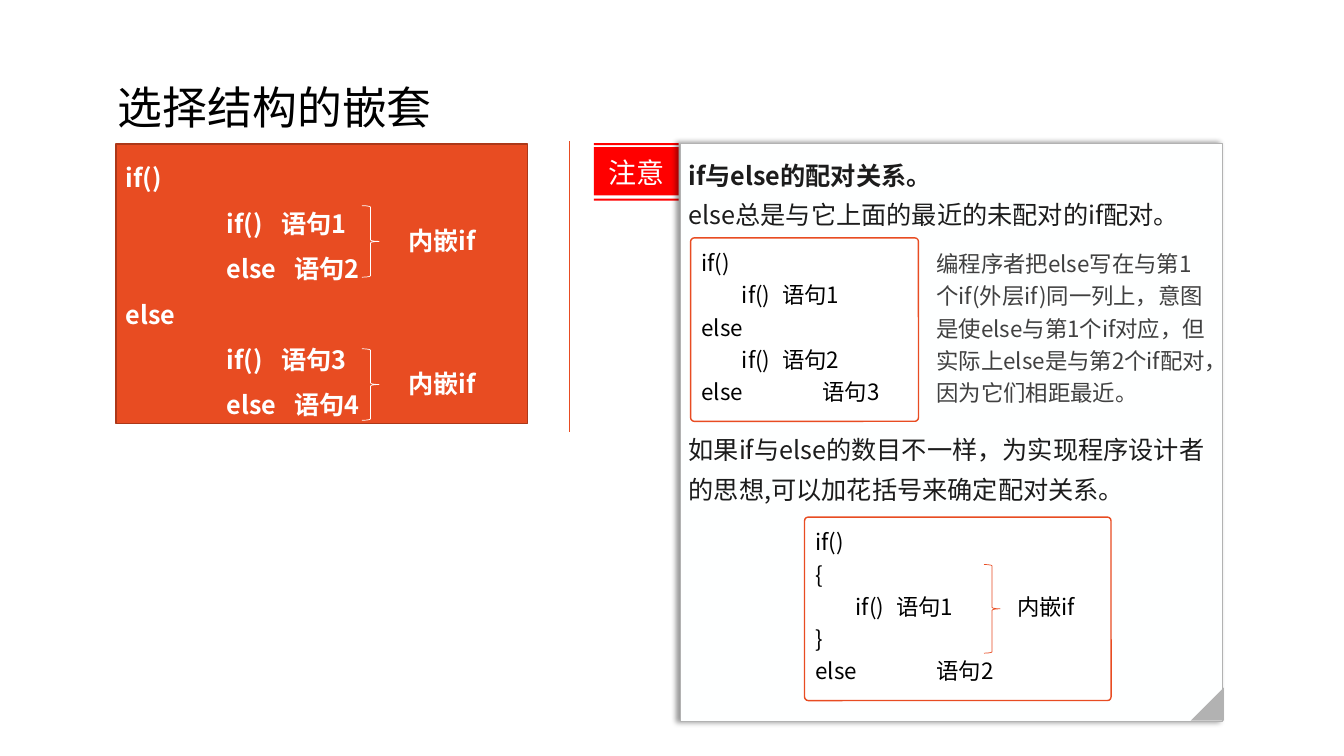
"""Build a slide about nested selection structures."""
from dataclasses import dataclass
from typing import Any

from pptx import Presentation
from pptx.dml.color import RGBColor
from pptx.enum.shapes import MSO_CONNECTOR, MSO_SHAPE
from pptx.enum.text import MSO_ANCHOR, MSO_AUTO_SIZE, PP_ALIGN
from pptx.oxml.ns import qn
from pptx.util import Inches, Pt

RECTANGLE, ROUNDED = MSO_SHAPE.RECTANGLE, MSO_SHAPE.ROUNDED_RECTANGLE
BRACE, TRIANGLE = MSO_SHAPE.RIGHT_BRACE, MSO_SHAPE.RIGHT_TRIANGLE
STRAIGHT = MSO_CONNECTOR.STRAIGHT
TOP, MIDDLE = MSO_ANCHOR.TOP, MSO_ANCHOR.MIDDLE
LEFT, CENTER = PP_ALIGN.LEFT, PP_ALIGN.CENTER
FIXED, GROW = MSO_AUTO_SIZE.NONE, MSO_AUTO_SIZE.SHAPE_TO_FIT_TEXT

FONT = "Noto Sans CJK SC"
ORANGE = RGBColor(0xE8, 0x4C, 0x22)
BROWN = RGBColor(0xAC, 0x38, 0x19)
RED = RGBColor(0xFF, 0x00, 0x00)
WHITE = RGBColor(0xFF, 0xFF, 0xFF)
PAPER = RGBColor(0xFE, 0xFF, 0xFF)
SILVER = RGBColor(0xB2, 0xB2, 0xB2)
BLACK = RGBColor(0x00, 0x00, 0x00)
INK = RGBColor(0x1C, 0x1C, 0x1C)
GRAY = RGBColor(0x40, 0x40, 0x40)


@dataclass(frozen=True)
class Box:
    """Position and size in inches."""
    left: float
    top: float
    width: float
    height: float

    def lengths(self) -> list[Inches]:
        """Return the four lengths for python-pptx."""
        return [Inches(value) for value in (self.left, self.top, self.width, self.height)]


@dataclass(frozen=True)
class Line:
    """One paragraph with its tab stops in inches."""
    text: str
    tabs: tuple[float, ...] = ()
    bold: bool = False
    space_before: float = 0


@dataclass(frozen=True)
class TextStyle:
    """Format shared by all paragraphs of a shape."""
    size: float
    color: RGBColor
    spacing: float = 1.0
    align: Any = LEFT
    anchor: Any = TOP
    fit: Any = FIXED
    inset: tuple[float, float] = (0.1, 0.05)


@dataclass(frozen=True)
class Figure:
    """A preset shape with fill and outline."""
    kind: Any
    box: Box
    fill: RGBColor | None = None
    line: RGBColor | None = None
    weight: float = 0.5


def set_values(target: Any, values: dict[str, Any]) -> None:
    """Set every attribute named in a dict of format values."""
    for name, value in values.items():
        setattr(target, name, value)


def write_lines(shape: Any, lines: list[Line], style: TextStyle) -> None:
    """Fill a shape with formatted paragraphs."""
    frame = shape.text_frame
    across, down = (Inches(value) for value in style.inset)
    set_values(frame, {"word_wrap": True, "auto_size": style.fit, "vertical_anchor": style.anchor,
                       "margin_left": across, "margin_right": across,
                       "margin_top": down, "margin_bottom": down})
    for index, line in enumerate(lines):
        paragraph = frame.add_paragraph() if index else frame.paragraphs[0]
        set_values(paragraph, {"alignment": style.align, "line_spacing": style.spacing,
                               "space_before": Pt(line.space_before), "space_after": Pt(0)})
        if line.tabs:
            properties = paragraph._p.get_or_add_pPr()
            tab_list = properties.makeelement(qn("a:tabLst"), {})
            for stop in line.tabs:
                tab = tab_list.makeelement(qn("a:tab"), {"pos": str(Inches(stop)), "algn": "l"})
                tab_list.append(tab)
            properties.append(tab_list)
        run = paragraph.add_run()
        run.text = line.text
        set_values(run.font, {"name": FONT, "size": Pt(style.size), "bold": line.bold})
        run.font.color.rgb = style.color
        run_properties = run._r.get_or_add_rPr()
        run_properties.append(run_properties.makeelement(qn("a:ea"), {"typeface": FONT}))


def paint(shape: Any, fill: RGBColor | None, line: RGBColor | None, weight: float) -> None:
    """Set fill and outline and drop the theme shadow."""
    shape.shadow.inherit = False
    for target, color in ((shape.fill, fill), (shape.line.fill, line)):
        if color is None:
            target.background()
        else:
            target.solid()
            target.fore_color.rgb = color
    if line is not None:
        shape.line.width = Pt(weight)


def draw_figure(slide: Any, figure: Figure) -> Any:
    """Add a preset shape."""
    shape = slide.shapes.add_shape(figure.kind, *figure.box.lengths())
    paint(shape, figure.fill, figure.line, figure.weight)
    if figure.kind == ROUNDED:
        shape.adjustments[0] = 0.02
    return shape


def draw_label(slide: Any, box: Box, line: Line, style: TextStyle) -> None:
    """Add a text box."""
    write_lines(slide.shapes.add_textbox(*box.lengths()), [line], style)


def draw_code(slide: Any, box: Box, texts: list[str]) -> None:
    """Add a rounded code box with even tab stops."""
    shape = draw_figure(slide, Figure(ROUNDED, box, WHITE, ORANGE, 1))
    tabs = tuple(0.4 * step for step in range(1, 6))
    write_lines(shape, [Line(text, tabs) for text in texts], TextStyle(16, BLACK, 1.2))


def draw_tag(slide: Any) -> None:
    """Add the red tag made of a band between two stripes."""
    left, right = Inches(5.89), Inches(6.73)
    bands = [(1.97, 1.99), (1.46, 1.94), (1.42, 1.44)]
    builder = slide.shapes.build_freeform(left, Inches(bands[0][0]))
    for index, (top, bottom) in enumerate(bands):
        if index:
            builder.move_to(left, Inches(top))
        builder.add_line_segments([(right, Inches(top)), (right, Inches(bottom)),
                                   (left, Inches(bottom))], close=True)
    tag = builder.convert_to_shape()
    paint(tag, RED, None, 0)
    write_lines(tag, [Line("注意")], TextStyle(20, PAPER, align=CENTER, anchor=MIDDLE))


def draw_panel(slide: Any) -> None:
    """Add the note panel with its left shadow and folded corner."""
    panel = draw_figure(slide, Figure(RECTANGLE, Box(6.75, 1.42, 5.38, 5.74), PAPER, SILVER, 0.75))
    effects = panel.element.spPr.find(qn("a:effectLst"))
    parent = effects
    for tag, values in (
            ("a:outerShdw", {"blurRad": str(Pt(4)), "dist": str(Pt(3)), "dir": "10800000",
                             "algn": "r", "rotWithShape": "0"}),
            ("a:srgbClr", {"val": str(BLACK)}), ("a:alpha", {"val": "40000"})):
        child = parent.makeelement(qn(tag), values)
        parent.append(child)
        parent = child
    write_lines(panel, [
        Line("if与else的配对关系。", bold=True),
        Line("else总是与它上面的最近的未配对的if配对。"),
        Line("如果if与else的数目不一样,为实现程序设计者的思想,可以加花括号来确定配对关系。".replace(
            "样,", "样，"), space_before=140),
    ], TextStyle(18, INK, 1.3, inset=(0.08, 0.08)))
    draw_figure(slide, Figure(TRIANGLE, Box(11.81, 6.82, 0.33, 0.33), SILVER)).rotation = 270


def draw_nesting(slide: Any) -> None:
    """Add the orange block with its two nested branches."""
    block = draw_figure(slide, Figure(RECTANGLE, Box(1.15, 1.43, 4.08, 2.77), ORANGE, BROWN, 1))
    lines = []
    for first in (1, 3):
        lines += [Line("else" if lines else "if()", bold=True),
                  Line(f"\tif()\t语句{first}", (1, 1.54), True),
                  Line(f"\telse\t语句{first + 1}", (1, 1.67), True)]
    write_lines(block, lines, TextStyle(18, WHITE, 1.5, anchor=MIDDLE))
    for top in (2.04, 3.46):
        draw_figure(slide, Figure(BRACE, Box(3.59, top, 0.17, 0.71), line=WHITE))
        draw_label(slide, Box(3.95, top + 0.15, 1.11, 0.4), Line("内嵌if", bold=True),
                   TextStyle(18, WHITE, fit=GROW))


def draw_divider(slide: Any) -> None:
    """Add the vertical line between the two halves."""
    ends = [Inches(value) for value in (5.65, 1.4, 5.65, 4.29)]
    divider = slide.shapes.add_connector(STRAIGHT, *ends)
    divider.line.color.rgb = ORANGE
    divider.line.width = Pt(0.5)
    properties = divider.element.spPr
    properties.append(properties.makeelement(qn("a:effectLst"), {}))


def main() -> None:
    """Build and save the presentation."""
    presentation = Presentation()
    set_values(presentation, {"slide_width": Inches(13.33), "slide_height": Inches(7.5)})
    slide = presentation.slides.add_slide(presentation.slide_layouts[5])
    title = slide.shapes.title
    title_box = Box(1.07, 0.37, 6.48, 1.45)
    set_values(title, dict(zip(("left", "top", "width", "height"), title_box.lengths())))
    write_lines(title, [Line("选择结构的嵌套")], TextStyle(32, BLACK, 0.9, anchor=MIDDLE))
    draw_nesting(slide)
    draw_tag(slide)
    draw_panel(slide)
    draw_divider(slide)
    draw_code(slide, Box(6.85, 2.36, 2.26, 1.82),
              ["if()", "\tif()\t语句1", "else", "\tif()\t语句2", "else\t\t语句3"])
    draw_label(slide, Box(9.19, 2.38, 2.86, 1.72), Line(
        "编程序者把else写在与第1个if(外层if)同一列上，意图是使else与第1个if对应，"
        "但实际上else是与第2个if配对，因为它们相距最近。"), TextStyle(16, GRAY, 1.2, fit=GROW))
    draw_code(slide, Box(7.98, 5.13, 3.04, 1.82),
              ["if()", "{", "\tif()\t语句1\t\t内嵌if", "}", "else\t\t语句2"])
    draw_figure(slide, Figure(BRACE, Box(9.76, 5.6, 0.16, 0.88), line=ORANGE))
    presentation.save("out.pptx")


main()
